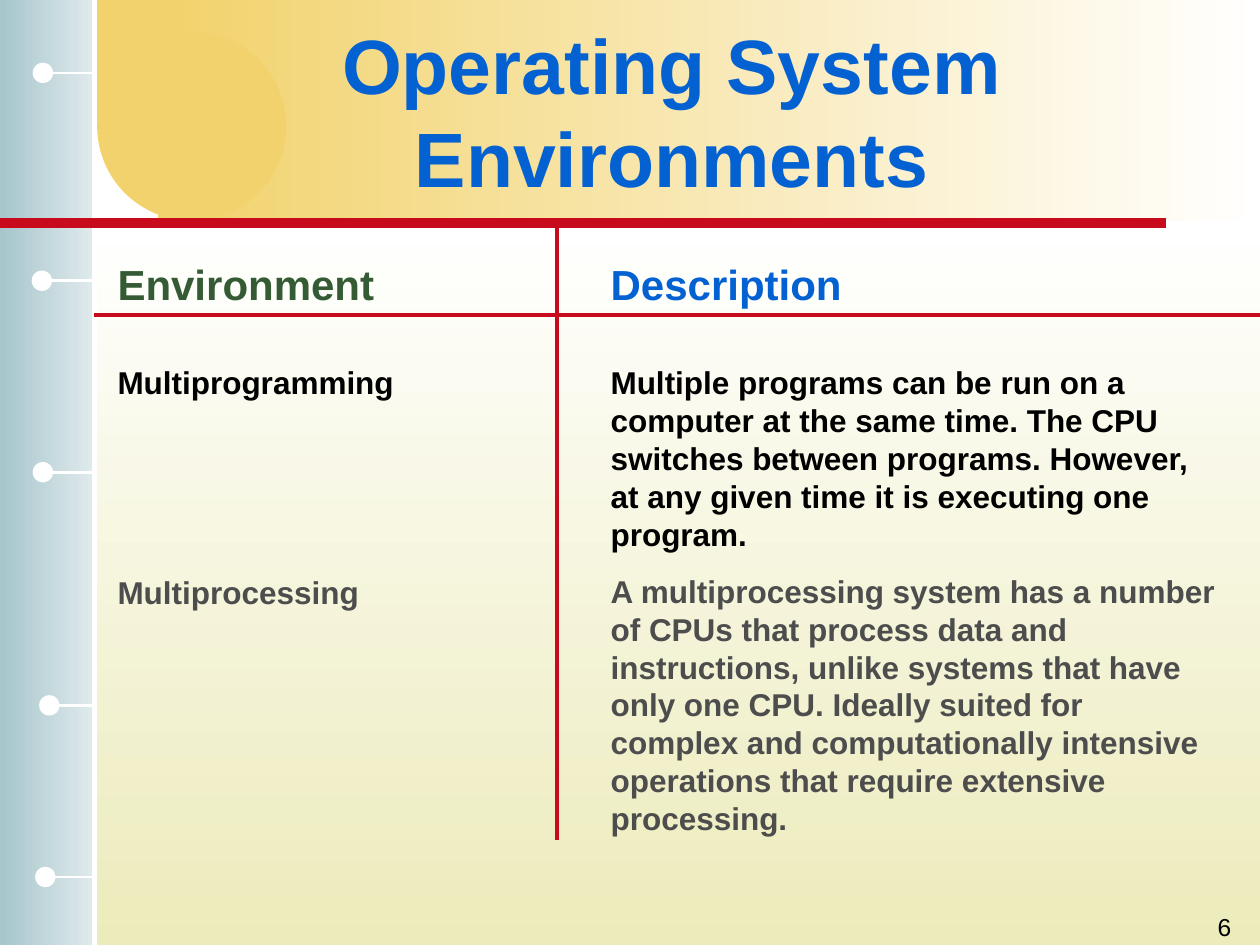
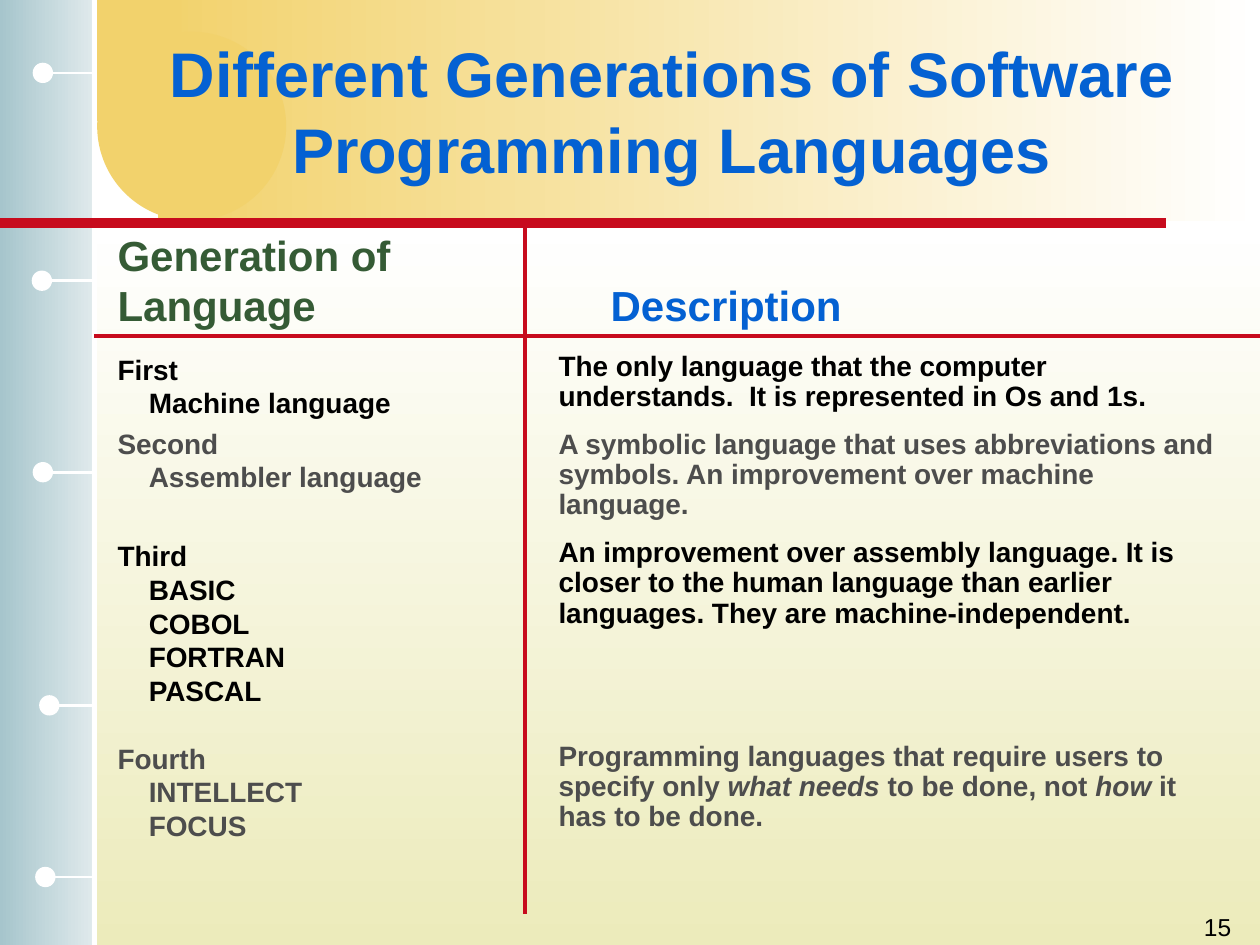
from dataclasses import dataclass

from lxml import etree
from pptx import Presentation
from pptx import util as u
from pptx.dml.color import RGBColor
from pptx.enum import shapes, text
from pptx.oxml.ns import qn

Cm, Pt = u.Cm, u.Pt

# Content: places in cm, *stars* mark italics
SLIDES = [
    dict(
        title="Operating System Environments", title_size=44, page="6",
        heads=(["Environment"], ["Description"]),
        rule_y=6.35, divider=(11.22, 16.93),
        size=18, spacing=1.0, before=11.2, label_tops=[7.2, 11.43],
        desc_box=(12.06, 7.2, 12.7, 9.8), row_gaps={},
        rows=[
            ("Multiprogramming", [],
             "Multiple programs can be run on a computer at the same time. "
             "The CPU switches between programs. However, at any given time "
             "it is executing one program."),
            ("Multiprocessing", [],
             "A multiprocessing system has a number of CPUs that process data "
             "and instructions, unlike systems that have only one CPU. Ideally "
             "suited for complex and computationally intensive operations that "
             "require extensive processing."),
        ],
    ),
    dict(
        title="Different Generations of Software Programming Languages",
        title_size=36, page="15",
        heads=(["Generation of", "Language"], ["Description"]),
        rule_y=6.77, divider=(10.58, 18.42),
        size=16, spacing=0.9, before=10, label_tops=[6.98, 8.47, 10.74, 14.82],
        desc_box=(11.01, 6.98, 13.76, 9.93), row_gaps={3: 64.7},
        rows=[
            ("First", ["Machine language"],
             "The only language that the computer understands.  "
             "It is represented in Os and 1s."),
            ("Second", ["Assembler language"],
             "A symbolic language that uses abbreviations and symbols. "
             "An improvement over machine language."),
            ("Third", ["BASIC", "COBOL", "FORTRAN", "PASCAL"],
             "An improvement over assembly language. It is closer to the human "
             "language than earlier languages. They are machine-independent."),
            ("Fourth", ["INTELLECT", "FOCUS"],
             "Programming languages that require users to specify only "
             "*what needs* to be done, not *how* it has to be done."),
        ],
    ),
]


@dataclass(frozen=True)
class Theme:
    font: str = "Arial"
    white: str = "FFFFFF"
    cream: str = "ECEBBB"
    mist: str = "E0EAEC"
    teal: str = "A6C5CC"
    gold: str = "F2D26C"
    red: str = "C70B1D"
    blue: str = "0461D2"
    green: str = "355B35"
    row_colors: tuple = ("000000", "4D4D4D")
    head_size: int = 24
    page_size: int = 14


T = Theme()
W, H = 25.4, 19.05
EDGE = 1.9          # right side of the teal strip
BAND_Y = 4.5        # red bar under the title
LABEL_X, HEAD_X, COL_W = 2.12, 12.06, 8.04
INDENT = 0.63
PIN = 0.41
PINS = [(0.66, 1.47), (0.64, 5.66), (0.66, 9.52), (0.79, 14.22), (0.71, 17.68)]
RECT, OVAL = shapes.MSO_SHAPE.RECTANGLE, shapes.MSO_SHAPE.OVAL


def rgb(color):
    return RGBColor.from_string(color)


def add_block(s, kind, box, *colors, angle=0):
    """One colour fills solid, two make a gradient (angle counter-clockwise)."""
    sp = s.shapes.add_shape(kind, *map(Cm, box))
    sp.shadow.inherit = False
    sp.line.fill.background()
    if len(colors) == 1:
        sp.fill.solid()
        sp.fill.fore_color.rgb = rgb(colors[0])
    else:
        sp.fill.gradient()
        sp.fill.gradient_angle = angle
        for stop, color in zip(sp.fill.gradient_stops, colors):
            stop.color.rgb = rgb(color)


def add_line(s, x1, y1, x2, y2, color, width):
    c = s.shapes.add_connector(shapes.MSO_CONNECTOR.STRAIGHT,
                               *map(Cm, (x1, y1, x2, y2)))
    c.line.color.rgb = rgb(color)
    c.line.width = Pt(width)
    etree.SubElement(c.element.spPr, qn("a:effectLst"))


def add_text(s, box, lines, size, colors, bold=True, align=None, anchor=None):
    """Add a text box; colors are taken in turn, one per paragraph."""
    tf = s.shapes.add_textbox(*map(Cm, box)).text_frame
    tf.word_wrap = True
    tf.vertical_anchor = anchor or text.MSO_ANCHOR.TOP
    for i, line in enumerate(lines):
        p = tf.paragraphs[0] if i == 0 else tf.add_paragraph()
        p.alignment = align
        for j, part in enumerate(line.split("*")):
            r = p.add_run()
            r.text = part
            f = r.font
            f.name, f.size, f.bold = T.font, Pt(size), bold
            f.color.rgb = rgb(colors[i % len(colors)])
            if j % 2:
                f.italic = True
    return tf


def build_background(s, layout):
    """Draw the shared decoration and move it to the layout."""
    for ph in list(layout.placeholders):
        layout.shapes.element.remove(ph.element)
    add_block(s, RECT, (1.85, BAND_Y, W - 1.85, H - BAND_Y),
              T.white, T.cream, angle=270)
    add_block(s, RECT, (0, 0, EDGE, H), T.mist, T.teal, angle=180)
    add_block(s, RECT, (3.18, 0, W - 3.18, 4.45), T.white, T.gold, angle=180)
    add_block(s, OVAL, (1.96, 0.64, 3.81, 3.81), T.gold)
    add_block(s, RECT, (1.96, 0, 1.7, 2.44), T.gold)
    add_line(s, EDGE, 0, EDGE, H, T.white, 3)
    for x, y in PINS:
        add_line(s, EDGE, y, x + PIN / 2, y, T.white, 1.5)
        add_block(s, OVAL, (x, y - PIN / 2, PIN, PIN), T.white)
    add_line(s, 0, BAND_Y, 23.5, BAND_Y, T.red, 6)
    for sp in list(s.shapes):
        layout.shapes.element.append(sp.element)


def build_slide(s, d):
    # Title and page number
    add_text(s, (2.75, 0.64, 21.59, 3.17), [d["title"]], d["title_size"],
             [T.blue], align=text.PP_ALIGN.CENTER, anchor=text.MSO_ANCHOR.MIDDLE)
    add_text(s, (19.79, 18.26, 5.28, 0.79), [d["page"]], T.page_size,
             T.row_colors, bold=False, align=text.PP_ALIGN.RIGHT)

    # Rules and column heads standing on them
    rule_y, (div_x, div_end) = d["rule_y"], d["divider"]
    add_line(s, EDGE, rule_y, W, rule_y, T.red, 2.25)
    add_line(s, div_x, 4.45, div_x, div_end, T.red, 2.25)
    for x, lines, color in zip((LABEL_X, HEAD_X), d["heads"], (T.green, T.blue)):
        h = len(lines) + 0.27
        add_text(s, (x, rule_y - h, COL_W, h), lines, T.head_size, [color])

    # Labels with indented examples
    for i, (label, examples, _) in enumerate(d["rows"]):
        lines = [label] + examples
        box = (LABEL_X, d["label_tops"][i], COL_W, 0.68 * len(lines) + 0.26)
        tf = add_text(s, box, lines, d["size"], [T.row_colors[i % 2]])
        for p in tf.paragraphs[1:]:
            p._p.get_or_add_pPr().set("marL", str(Cm(INDENT)))

    # Descriptions
    tf = add_text(s, d["desc_box"], [row[2] for row in d["rows"]],
                  d["size"], T.row_colors)
    for i, p in enumerate(tf.paragraphs):
        p.line_spacing = d["spacing"]
        if i:
            p.space_before = Pt(d["row_gaps"].get(i, d["before"]))


def main():
    prs = Presentation()
    prs.slide_width, prs.slide_height = Cm(W), Cm(H)
    layout = prs.slide_layouts[6]
    for i, d in enumerate(SLIDES):
        s = prs.slides.add_slide(layout)
        if i == 0:
            build_background(s, layout)
        build_slide(s, d)
    prs.save("out.pptx")


if __name__ == "__main__":
    main()
